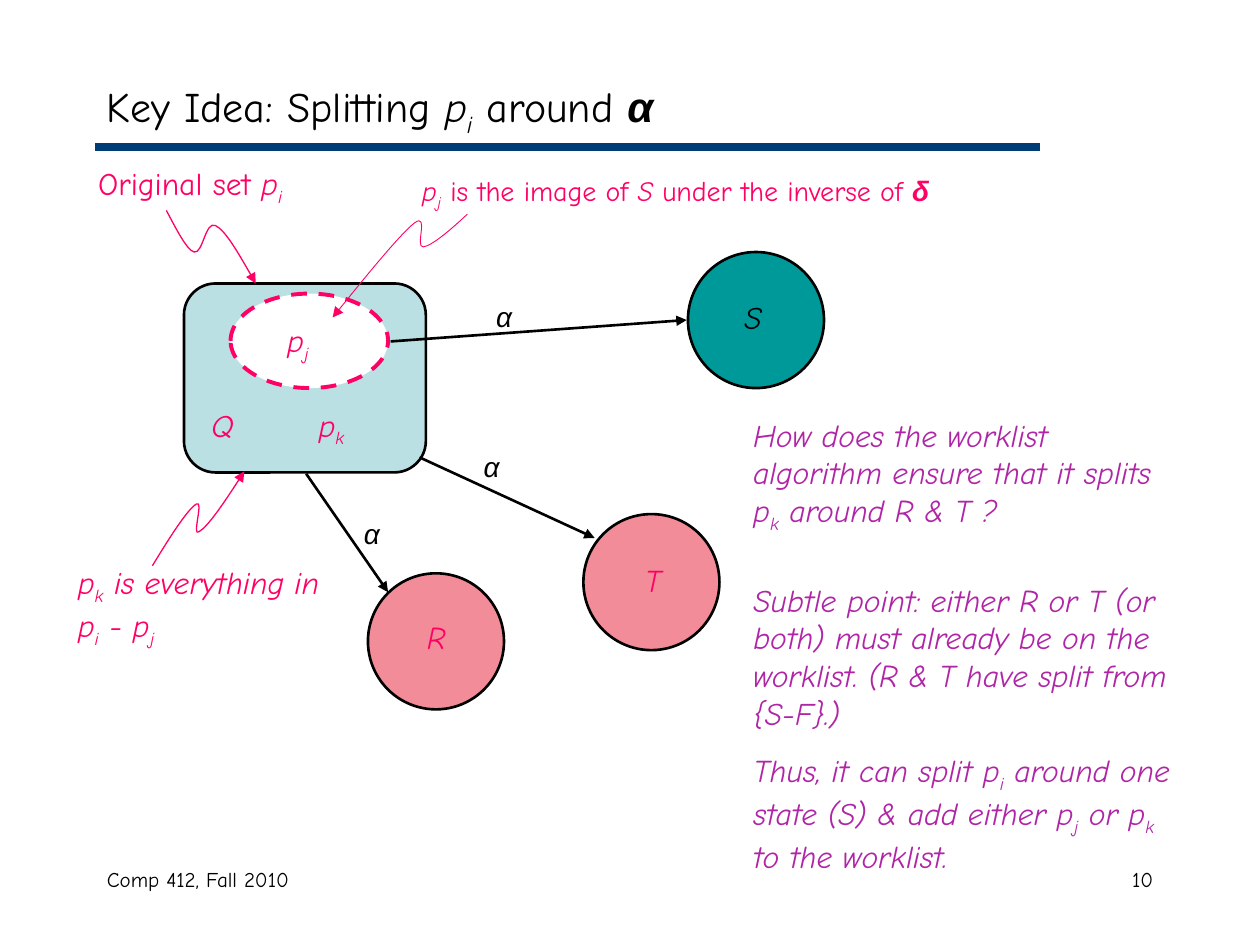
"""Build the slide on splitting a set of states around alpha."""
from dataclasses import dataclass
from typing import NamedTuple

from lxml import etree
from pptx import Presentation
from pptx.dml.color import RGBColor
from pptx.enum.dml import MSO_LINE
from pptx.enum.shapes import MSO_CONNECTOR, MSO_SHAPE
from pptx.enum.text import MSO_ANCHOR, PP_ALIGN
from pptx.oxml.ns import qn
from pptx.util import Inches, Pt

DASH = MSO_LINE.DASH
STRAIGHT = MSO_CONNECTOR.STRAIGHT
OVAL, ROUND = MSO_SHAPE.OVAL, MSO_SHAPE.ROUNDED_RECTANGLE
MIDDLE, TOP = MSO_ANCHOR.MIDDLE, MSO_ANCHOR.TOP
LEFT, RIGHT = PP_ALIGN.LEFT, PP_ALIGN.RIGHT


@dataclass(frozen=True)
class Theme:
    """Colours, fonts and type sizes of the slide."""
    black: str = "000000"
    white: str = "FFFFFF"
    navy: str = "003C75"
    pale: str = "BBE0E3"
    teal: str = "009999"
    rose: str = "F38C99"
    pink: str = "FF0065"
    plum: str = "B025A6"
    face: str = "Comic Neue"
    greek: str = "Arial"
    title: int = 24
    body: int = 18
    note: int = 16
    foot: int = 12
    gap: float = 11.2


THEME = Theme()


class Form(NamedTuple):
    """A filled preset shape."""
    kind: MSO_SHAPE
    box: tuple[float, float, float, float]
    fill: str
    line: str = THEME.black
    width: float = 1.5


class Label(NamedTuple):
    """Text in which slashes toggle italics and _x is a subscript."""
    box: tuple[float, float, float, float]
    paras: tuple[str, ...]
    color: str = THEME.pink
    size: int = THEME.body
    face: str = THEME.face
    align: PP_ALIGN = LEFT
    anchor: MSO_ANCHOR = TOP


class Arrow(NamedTuple):
    """A straight line between two points."""
    start: tuple[float, float]
    end: tuple[float, float]
    color: str = THEME.black
    width: float = 1.5
    head: bool = True


class Curve(NamedTuple):
    """A chain of cubic curves ending in an arrowhead."""
    points: tuple[tuple[float, float], ...]
    width: float = 0.75


DISC = 1.08
FORMS = [
    Form(ROUND, (1.46, 2.25, 1.92, 1.5), THEME.pale),
    Form(OVAL, (5.46, 2, DISC, DISC), THEME.teal),
    Form(OVAL, (2.92, 4.55, DISC, DISC), THEME.rose),
    Form(OVAL, (4.63, 4.08, DISC, DISC), THEME.rose),
    Form(OVAL, (1.83, 2.33, 1.25, 0.75), THEME.white, THEME.pink, 2.25),
]
ARROWS = [
    Arrow((0.75, 1.17), (8.25, 1.17), THEME.navy, 4.5, False),
    Arrow((3.1, 2.71), (5.45, 2.54)),
    Arrow((2.43, 3.76), (3.08, 4.7)),
    Arrow((3.33, 3.63), (4.72, 4.27)),
]
CURVES = [
    Curve(((1.32, 1.67), (1.4, 1.82), (1.48, 1.98), (1.54, 2), (1.61, 2.02),
           (1.63, 1.75), (1.71, 1.79), (1.79, 1.83), (1.91, 2.04), (2.03, 2.25))),
    Curve(((1.21, 4.49), (1.35, 4.26), (1.49, 4.04), (1.56, 4), (1.62, 3.96),
           (1.52, 4.27), (1.58, 4.22), (1.65, 4.18), (1.8, 3.96), (1.94, 3.74))),
    Curve(((3.71, 1.7), (3.57, 1.83), (3.43, 1.95), (3.36, 1.96), (3.29, 1.97),
           (3.41, 1.68), (3.29, 1.77), (3.17, 1.86), (2.64, 2.52), (2.64, 2.52)), 0.5),
]
LABELS = [
    Label((0.75, 0.58, 8.5, 0.58), ("Key Idea: Splitting /p_i/ around /α",),
          THEME.black, THEME.title, anchor=MIDDLE),
    Label((0.68, 1.25, 2.08, 0.44), ("Original set /p_i",)),
    Label((3.25, 1.33, 4.58, 0.41),
          ("/p_j/ is the image of /S/ under the inverse of /δ",), size=THEME.note),
    Label((2.18, 2.5, 0.67, 0.44), ("/p_j",)),
    Label((1.58, 3.17, 0.48, 0.4), ("/Q",)),
    Label((2.43, 3.17, 0.67, 0.44), ("/p_k",)),
    Label((0.52, 4.42, 2.18, 0.78), ("/p_k is everything in p_i - p_j",)),
    Label((5.81, 2.32, 0.37, 0.4), ("/S",), THEME.black),
    Label((3.29, 4.86, 0.35, 0.4), ("/R",)),
    Label((5.02, 4.4, 0.33, 0.4), ("/T",)),
    Label((5.88, 3.25, 3.54, 1.04),
          ("/How does the worklist algorithm ensure that it splits p_k around R & T ?",),
          THEME.plum),
    Label((5.88, 4.56, 3.52, 2.44),
          ("/Subtle point: either R or T (or both) must already be on the worklist. "
           "(R & T have split from {S-F}.)",
           "/Thus, it can split p_i around one state (S) & add either p_j or p_k "
           "to the worklist."), THEME.plum),
    Label((0.75, 6.83, 3.17, 0.5), ("Comp 412, Fall 2010",), THEME.black, THEME.foot),
    Label((7.17, 6.83, 2.08, 0.5), ("10",), THEME.black, THEME.foot, align=RIGHT),
] + [
    Label((x, y, 0.34, 0.37), ("/α",), THEME.black, THEME.note, THEME.greek)
    for x, y in ((2.79, 4.05), (3.74, 3.52), (3.84, 2.33))
]


def stroke(shape, color: str, width: float, head: bool = False) -> None:
    """Style a line and give it an arrowhead if asked."""
    shape.line.color.rgb = RGBColor.from_string(color)
    shape.line.width = Pt(width)
    if head:
        etree.SubElement(shape.line._get_or_add_ln(), qn("a:tailEnd"), type="triangle")


def draw_form(shapes, form: Form) -> None:
    """Draw a filled shape."""
    shape = shapes.add_shape(form.kind, *map(Inches, form.box))
    shape.shadow.inherit = False
    shape.fill.solid()
    shape.fill.fore_color.rgb = RGBColor.from_string(form.fill)
    stroke(shape, form.line, form.width)
    if form.line == THEME.pink:
        shape.line.dash_style = DASH


def draw_arrow(shapes, arrow: Arrow) -> None:
    """Draw a straight connector."""
    line = shapes.add_connector(STRAIGHT, *map(Inches, arrow.start + arrow.end))
    stroke(line, arrow.color, arrow.width, arrow.head)
    etree.SubElement(line._element.spPr, qn("a:effectLst"))


def draw_curve(shapes, curve: Curve) -> None:
    """Draw a freeform and bend each three of its segments into a cubic."""
    first, *rest = [(Inches(x), Inches(y)) for x, y in curve.points]
    pen = shapes.build_freeform(*first)
    pen.add_line_segments(rest, close=False)
    shape = pen.convert_to_shape()
    shape.shadow.inherit = False
    shape.fill.background()
    stroke(shape, THEME.pink, curve.width, True)
    path = next(shape._element.iter(qn("a:path")))
    steps = path.findall(qn("a:lnTo"))
    for at in range(0, len(steps), 3):
        bend = etree.SubElement(path, qn("a:cubicBezTo"))
        for step in steps[at:at + 3]:
            bend.append(step[0])
            path.remove(step)


def add_run(para, text: str, slant: bool, sub: bool, bold: bool) -> None:
    """Add one run with its own deviations from the paragraph font."""
    run = para.add_run()
    run.text = text
    run.font.italic = slant
    if sub:
        run.font._element.set("baseline", "-25000")
    if bold:
        run.font.bold = True
        run.font.name = THEME.greek


def draw_label(shapes, label: Label) -> None:
    """Draw a text box from its marked-up paragraphs."""
    frame = shapes.add_textbox(*map(Inches, label.box)).text_frame
    frame.word_wrap = label.box[2] > 0.36
    frame.vertical_anchor = label.anchor
    for row, text in enumerate(label.paras):
        para = frame.paragraphs[0] if row == 0 else frame.add_paragraph()
        para.alignment = label.align
        if row:
            para.space_before = Pt(THEME.gap)
        para.font.name = label.face
        para.font.size = Pt(label.size)
        para.font.color.rgb = RGBColor.from_string(label.color)
        for turn, part in enumerate(text.split("/")):
            slant = turn % 2 == 1
            bold = part in ("α", "δ") and label.face != THEME.greek
            base, *subs = part.split("_")
            bits = [(base, False)]
            for piece in subs:
                bits += [(piece[0], True), (piece[1:], False)]
            for bit, sub in bits:
                if bit:
                    add_run(para, bit, slant, sub, bold)


def main() -> None:
    """Build and save the slide."""
    deck = Presentation()
    deck.slide_width, deck.slide_height = Inches(10), Inches(7.5)
    shapes = deck.slides.add_slide(deck.slide_layouts[6]).shapes
    for draw, items in ((draw_form, FORMS), (draw_arrow, ARROWS),
                        (draw_label, LABELS), (draw_curve, CURVES)):
        for item in items:
            draw(shapes, item)
    deck.save("out.pptx")


if __name__ == "__main__":
    main()
